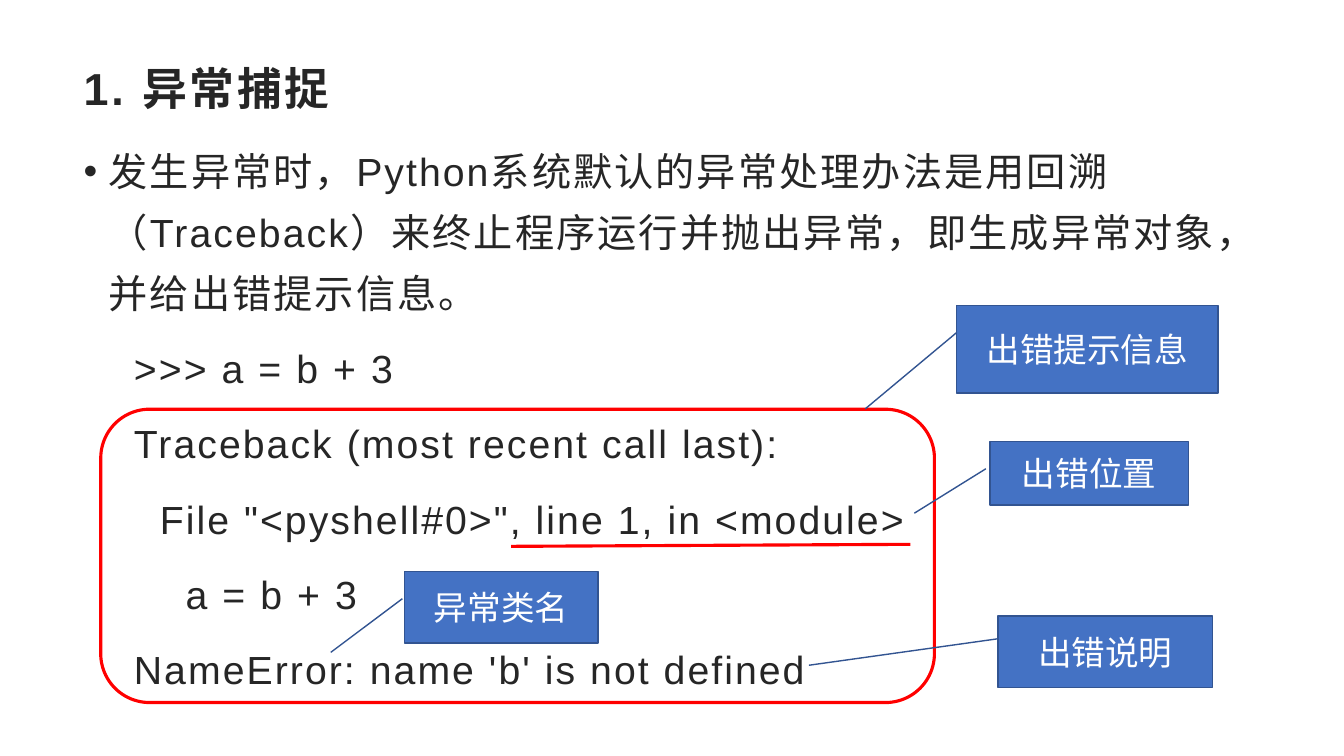
from lxml import etree
from pptx import Presentation
from pptx.dml.color import RGBColor
from pptx.enum.shapes import MSO_CONNECTOR, MSO_SHAPE
from pptx.enum.text import MSO_ANCHOR, MSO_AUTO_SIZE, PP_ALIGN
from pptx.oxml.ns import qn
from pptx.util import Inches, Pt

STRAIGHT = MSO_CONNECTOR.STRAIGHT
ROUNDED = MSO_SHAPE.ROUNDED_RECTANGLE
CALLOUT = MSO_SHAPE.LINE_CALLOUT_1
MIDDLE, TOP = MSO_ANCHOR.MIDDLE, MSO_ANCHOR.TOP
LEFT, CENTER = PP_ALIGN.LEFT, PP_ALIGN.CENTER
NO_AUTOFIT = MSO_AUTO_SIZE.NONE

INK = RGBColor(0x26, 0x26, 0x26)
WHITE = RGBColor(0xFF, 0xFF, 0xFF)
RED = RGBColor(0xFF, 0x00, 0x00)
BLUE = RGBColor(0x44, 0x72, 0xC4)
DARK_BLUE = RGBColor(0x32, 0x54, 0x91)

FONT = "Arial"
WIDTH, HEIGHT = Inches(13.33), Inches(7.5)
TITLE_ONLY = 5

EXPLANATION = ("发生异常时，Python系统默认的异常处理办法是用回溯（Traceback）"
               "来终止程序运行并抛出异常，即生成异常对象，并给出错提示信息。")
SESSION = [
    ">>> a = b + 3",
    "Traceback (most recent call last):",
    '  File "<pyshell#0>", line 1, in <module>',
    "    a = b + 3",
    "NameError: name 'b' is not defined",
]

# Label, box, and leader line as (start y, start x, end y, end x) shares of the box
CALLOUTS = [
    ("出错提示信息", (71.18, 40.4, 19.43, 11.6), (0.31, 0, 1.18, -0.35)),
    ("出错位置", (73.65, 58.4, 14.78, 8.4), (0.43, -0.02, 1.13, -0.38)),
    ("异常类名", (30.08, 75.6, 14.4, 9.47), (0.38, -0.01, 1.13, -0.38)),
    ("出错说明", (74.25, 81.47, 15.98, 9.47), (0.32, 0, 0.69, -0.88)),
]


def across(percent):
    return int(WIDTH * percent / 100)


def down(percent):
    return int(HEIGHT * percent / 100)


def grid(left, top, width, height):
    """Turn percentages of the slide into a position and size."""
    return across(left), down(top), across(width), down(height)


def add_run(paragraph, text, size, color, bold=False, spacing=0):
    run = paragraph.add_run()
    run.text = text
    run.font.size = Pt(size)
    run.font.name = FONT
    run.font.bold = bold
    run.font.color.rgb = color
    properties = run._r.get_or_add_rPr()
    properties.set("spc", str(int(spacing * 100)))
    east_asian = etree.Element(qn("a:ea"), typeface=FONT)
    properties.find(qn("a:latin")).addnext(east_asian)


def set_indent(paragraph, margin, first_line=0, bullet=None):
    properties = paragraph._p.get_or_add_pPr()
    properties.set("marL", str(Inches(margin)))
    properties.set("indent", str(Inches(first_line)))
    if bullet:
        etree.SubElement(properties, qn("a:buFont"), typeface=FONT)
        etree.SubElement(properties, qn("a:buChar"), char=bullet)


def set_line(shape, color, weight):
    shape.line.color.rgb = color
    shape.line.width = Pt(weight)


def set_title(slide, text):
    title = slide.shapes.title
    title.left, title.top, title.width, title.height = grid(5.48, 6.4, 89.03, 10.4)
    frame = title.text_frame
    frame.auto_size = NO_AUTOFIT
    frame.vertical_anchor = MIDDLE
    paragraph = frame.paragraphs[0]
    paragraph.alignment = LEFT
    add_run(paragraph, text, 32, INK, bold=True, spacing=2)


def add_body(slide):
    frame = slide.shapes.add_textbox(*grid(5.48, 16.93, 89.03, 75.6)).text_frame
    frame.word_wrap = True
    frame.vertical_anchor = TOP
    for index, text in enumerate([EXPLANATION] + SESSION):
        if index == 0:
            paragraph = frame.paragraphs[0]
            set_indent(paragraph, 0.25, -0.25, "•")
        else:
            paragraph = frame.add_paragraph()
            set_indent(paragraph, 0.5)
        paragraph.line_spacing = 1.3
        paragraph.space_after = Pt(10)
        add_run(paragraph, text, 28, INK, spacing=1.5)


def add_outline(slide, box):
    outline = slide.shapes.add_shape(ROUNDED, *grid(*box))
    outline.shadow.inherit = False
    outline.fill.background()
    set_line(outline, RED, 2.25)


def add_underline(slide, start, end):
    underline = slide.shapes.add_connector(
        STRAIGHT, across(start[0]), down(start[1]), across(end[0]), down(end[1]))
    set_line(underline, RED, 2.25)
    etree.SubElement(underline._element.spPr, qn("a:effectLst"))


def add_callout(slide, label, box, leader):
    callout = slide.shapes.add_shape(CALLOUT, *grid(*box))
    for index, share in enumerate(leader):
        callout.adjustments[index] = share
    callout.shadow.inherit = False
    callout.fill.solid()
    callout.fill.fore_color.rgb = BLUE
    set_line(callout, DARK_BLUE, 1)
    frame = callout.text_frame
    frame.word_wrap = True
    frame.vertical_anchor = MIDDLE
    paragraph = frame.paragraphs[0]
    paragraph.alignment = CENTER
    add_run(paragraph, label, 24, WHITE)


def main():
    presentation = Presentation()
    presentation.slide_width, presentation.slide_height = WIDTH, HEIGHT
    slide = presentation.slides.add_slide(presentation.slide_layouts[TITLE_ONLY])

    # Heading, explanation and interpreter session
    set_title(slide, "1. 异常捕捉")
    add_body(slide)

    # Marks on the error message
    add_outline(slide, (7.5, 54.13, 62.03, 38.8))
    add_underline(slide, (38.03, 72.27), (67.73, 72))

    # Labels for the parts of the message
    for label, box, leader in CALLOUTS:
        add_callout(slide, label, box, leader)

    presentation.save("out.pptx")


if __name__ == "__main__":
    main()
